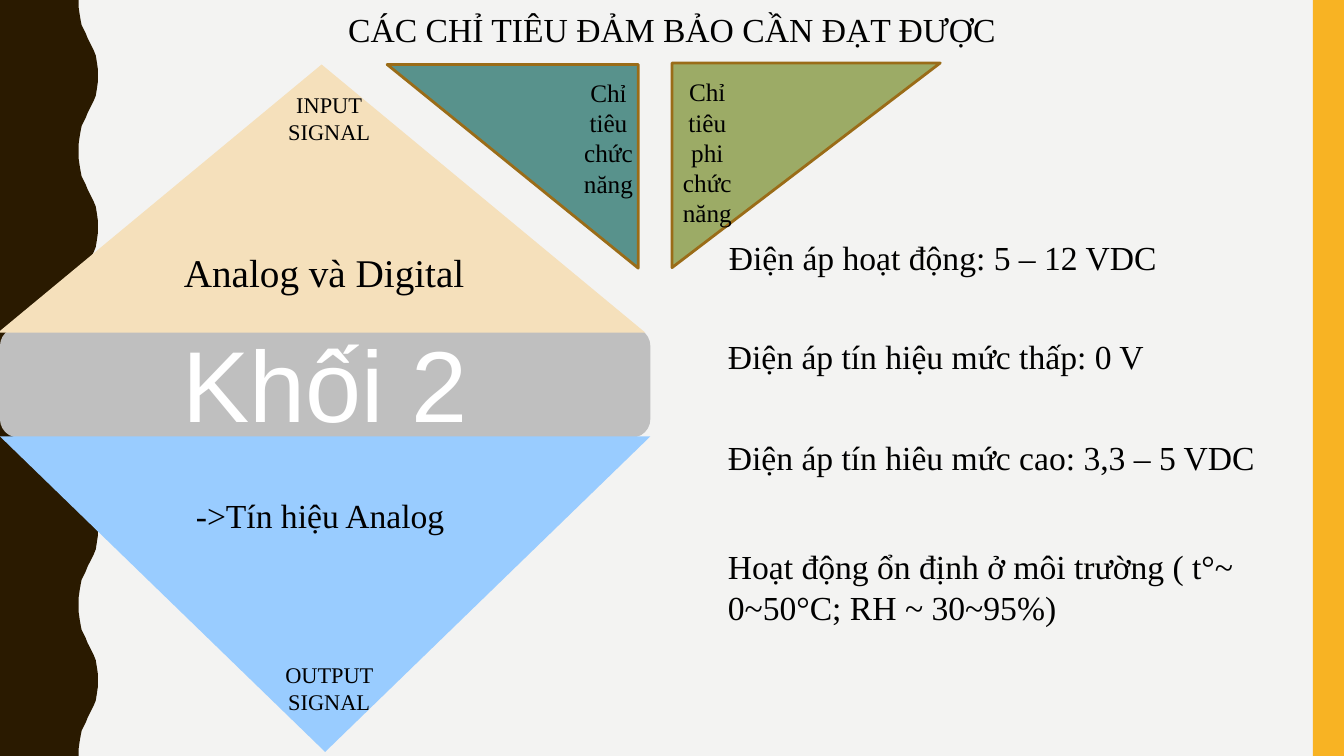
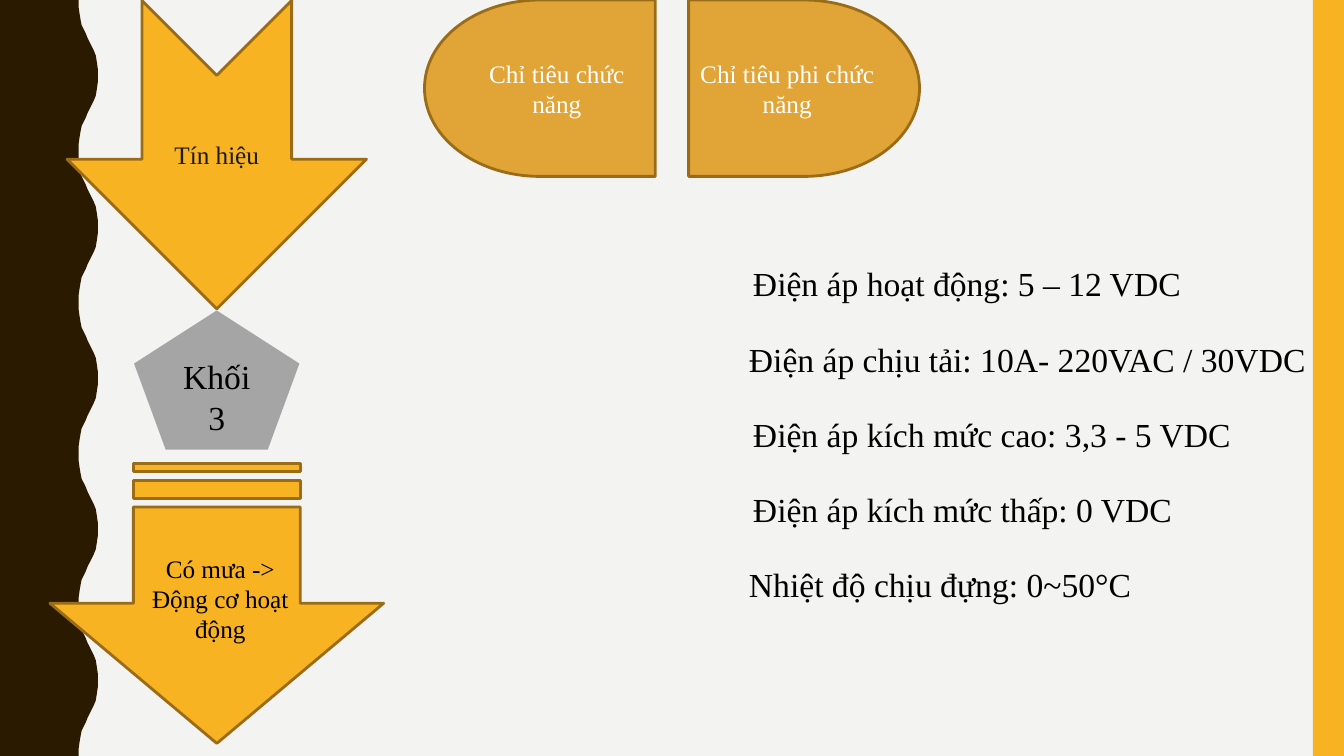
from pptx import Presentation
from pptx import util as u
from pptx.dml.color import RGBColor
from pptx.enum import shapes, text

PX = 9144  # EMU in one px, 100 px to the inch
WIDTH, HEIGHT = 1333, 750
COLOURS = {
    "paper": "F3F3F2", "brown": "2A1A00", "amber": "F8B323", "outline": "9A6C18",
    "teal": "58928C", "olive": "9CAB66", "ochre": "E0A437", "sand": "F5E0BB",
    "sky": "99CCFF", "silver": "BFBFBF", "grey": "A5A5A5",
    "black": "000000", "ink": "1C1A1B", "white": "FFFFFF",
}
KIND = shapes.MSO_SHAPE
CENTER, LEFT = text.PP_ALIGN.CENTER, text.PP_ALIGN.LEFT
TOP, MIDDLE = text.MSO_ANCHOR.TOP, text.MSO_ANCHOR.MIDDLE


def place(slide, kind, box, fill=None, line=None, rotation=0):
    """Add a preset shape, or a text box when kind is None; box is in px."""
    frame = [value * PX for value in box]
    if kind is None:
        return slide.shapes.add_textbox(*frame)
    shape = slide.shapes.add_shape(kind, *frame)
    shape.shadow.inherit = False
    shape.rotation = rotation
    shape.fill.solid()
    shape.fill.fore_color.rgb = RGBColor.from_string(COLOURS[fill])
    if line:
        shape.line.color.rgb = RGBColor.from_string(COLOURS[line])
        shape.line.width = u.Pt(2)
    else:
        shape.line.fill.background()
    return shape


def write(shape, words, size, colour="black", align=CENTER, anchor=MIDDLE,
          font="Times New Roman"):
    frame = shape.text_frame
    frame.text = words
    layout = {"word_wrap": True, "auto_size": text.MSO_AUTO_SIZE.NONE,
              "vertical_anchor": anchor}
    for name, value in layout.items():
        setattr(frame, name, value)
    for paragraph in frame.paragraphs:
        paragraph.alignment = align
        for run in paragraph.runs:
            for name, value in {"name": font, "size": u.Pt(size)}.items():
                setattr(run.font, name, value)
            run.font.color.rgb = RGBColor.from_string(COLOURS[colour])


prs = Presentation()
prs.slide_width, prs.slide_height = WIDTH * PX, HEIGHT * PX
signal_slide = prs.slides.add_slide(prs.slide_layouts[5])
relay_slide = prs.slides.add_slide(prs.slide_layouts[6])

# Shared background: wavy left edge and right band, moved to the master
master = prs.slide_master
master.background.fill.solid()
master.background.fill.fore_color.rgb = RGBColor.from_string(COLOURS["paper"])

half_wave = [(78, 0), (78, 7), (79, 14), (80, 20), (81, 25), (83, 29), (85, 33),
             (87, 38), (89, 42), (91, 46), (93, 50), (95, 55), (96, 61), (97, 68),
             (97, 75)]
period = 150
full_wave = half_wave + [(x, period - y) for x, y in half_wave[-2::-1]]
edge = [(x, y + start) for start in range(0, HEIGHT, period) for x, y in full_wave]
outline = signal_slide.shapes.build_freeform(0, 0, scale=PX)
outline.add_line_segments(edge + [(0, HEIGHT)], close=True)
wave = outline.convert_to_shape()
wave.shadow.inherit = False
wave.fill.solid()
wave.fill.fore_color.rgb = RGBColor.from_string(COLOURS["brown"])
wave.line.fill.background()
band = place(signal_slide, KIND.RECTANGLE, (1302, 0, 31, HEIGHT), "amber")
for order, decoration in enumerate((wave, band)):
    decoration.element.nvSpPr.cNvPr.set("id", str(101 + order))
    master.shapes.element.insert(2 + order, decoration.element)

# Slide 1: block 2
title = signal_slide.shapes.title
for name, value in {"left": 0, "top": 4, "width": WIDTH, "height": 50}.items():
    setattr(title, name, value * PX)
write(title, "CÁC CHỈ TIÊU ĐẢM BẢO CẦN ĐẠT ĐƯỢC", 24, anchor=TOP)

block_2 = place(signal_slide, KIND.ROUNDED_RECTANGLE, (0, 325, 645, 109), "silver")
write(block_2, "Khối 2", 72, "white", font="Arial")

for kind, box, fill, line, rotation in [
    (KIND.RIGHT_TRIANGLE, (698, 31, 203, 266), "olive", "outline", 90),
    (KIND.RIGHT_TRIANGLE, (384, 64, 249, 202), "teal", "outline", 180),
    (KIND.FLOWCHART_EXTRACT, (-2, 64, 642, 266), "sand", None, 0),
    (KIND.FLOWCHART_MERGE, (0, 433, 645, 313), "sky", None, 0),
]:
    place(signal_slide, kind, box, fill, line, rotation)

for words, box, size, anchor in [
    ("Chỉ tiêu phi chức năng", (657, 100, 89, 102), 18, MIDDLE),
    ("Chỉ tiêu chức năng", (562, 86, 83, 101), 18, MIDDLE),
    ("Analog và Digital", (106, 241, 431, 81), 28, TOP),
    ("INPUT\nSIGNAL", (270, 86, 113, 64), 16, TOP),
    ("->Tín hiệu Analog", (102, 486, 431, 50), 24, TOP),
    ("OUTPUT SIGNAL", (270, 651, 113, 64), 16, TOP),
]:
    write(place(signal_slide, None, box), words, size, anchor=anchor)

# Slide 2: block 3
for words, left, flipped in [("Chỉ tiêu phi chức năng", 683, False),
                             ("Chỉ tiêu chức năng", 421, True)]:
    criterion = place(relay_slide, KIND.FLOWCHART_DELAY, (left, 0, 229, 175),
                      "ochre", "outline")
    if flipped:
        criterion.element.spPr.xfrm.set("flipH", "1")
    write(criterion, words, 18, "white")

for kind, arrow_box, words, words_box, colour in [
    (KIND.NOTCHED_RIGHT_ARROW, (62, 5, 306, 297),
     "Tín hiệu", (141, 74, 148, 158), "ink"),
    (KIND.STRIPED_RIGHT_ARROW, (76, 433, 278, 331),
     "Có mưa ->\nĐộng cơ hoạt động", (133, 511, 171, 165), "black"),
]:
    place(relay_slide, kind, arrow_box, "amber", "outline", 90)
    write(place(relay_slide, None, words_box), words, 18, colour)

block_3 = place(relay_slide, KIND.REGULAR_PENTAGON, (133, 308, 164, 138), "grey")
write(block_3, "Khối 3", 24)

# Requirements on both slides
for slide, width, requirements in [
    (signal_slide, 589, [
        (713, 230, 50, "Điện áp hoạt động: 5 – 12 VDC"),
        (712, 328, 50, "Điện áp tín hiệu mức thấp: 0 V"),
        (712, 429, 50, "Điện áp tín hiêu mức cao: 3,3 – 5 VDC"),
        (712, 537, 91, "Hoạt động ổn định ở môi trường ( t°~ 0~50°C; RH ~ 30~95%)"),
    ]),
    (relay_slide, 596, [
        (737, 256, 50, "Điện áp hoạt động: 5 – 12 VDC"),
        (733, 331, 50, "Điện áp chịu tải: 10A- 220VAC / 30VDC"),
        (737, 406, 50, "Điện áp kích mức cao: 3,3 - 5 VDC"),
        (737, 480, 50, "Điện áp kích mức thấp: 0 VDC"),
        (733, 555, 50, "Nhiệt độ chịu đựng: 0~50°C"),
    ]),
]:
    for left, top, height, words in requirements:
        requirement = place(slide, None, (left, top, width, height))
        write(requirement, words, 24, align=LEFT, anchor=TOP)

prs.save("out.pptx")
